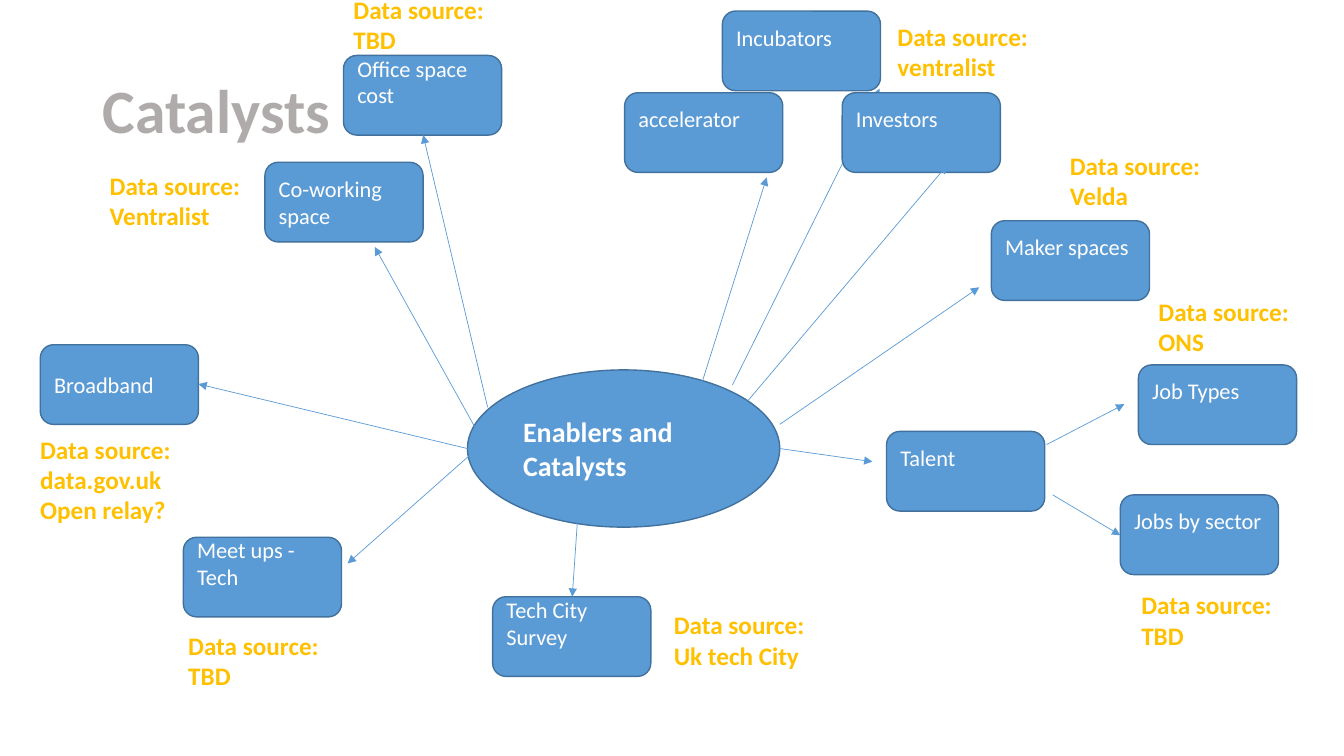
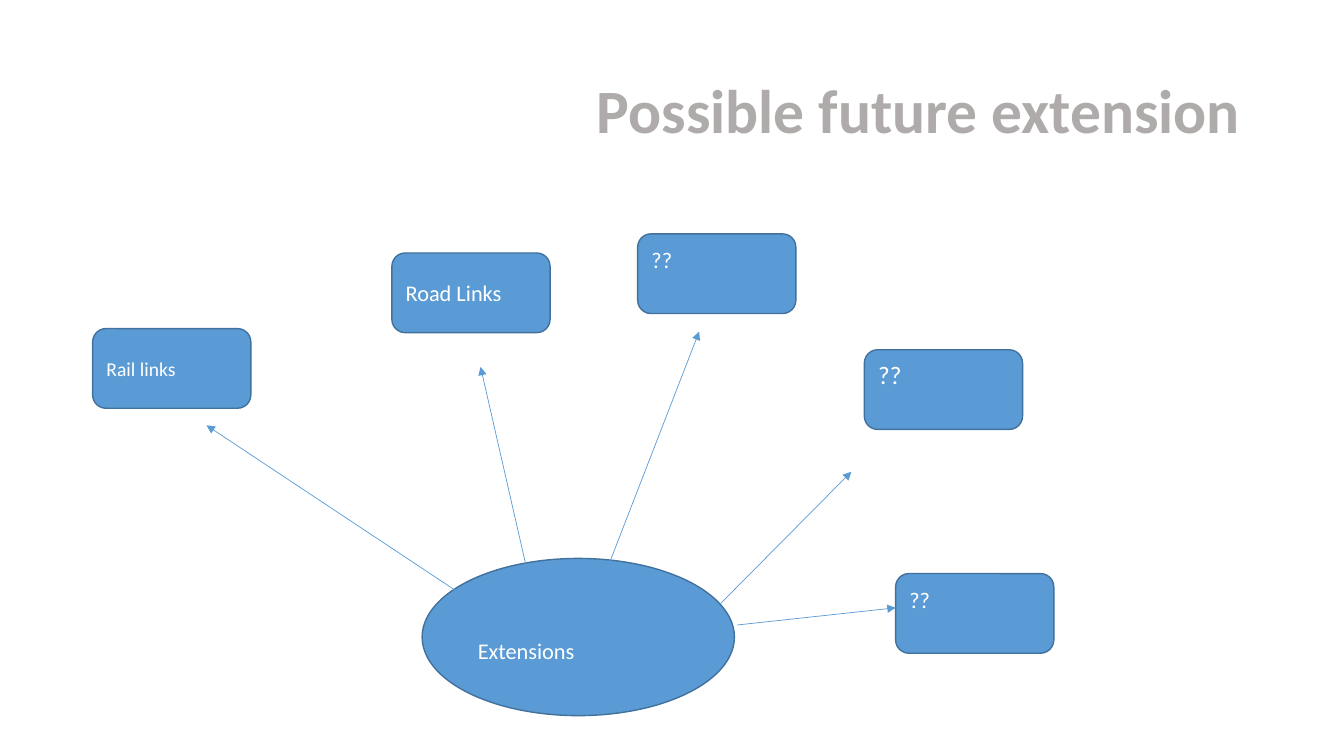
from dataclasses import dataclass

from lxml.etree import SubElement
from pptx import Presentation
from pptx.dml.color import RGBColor
from pptx.enum.shapes import MSO_CONNECTOR as Connector, MSO_SHAPE as Shape
from pptx.enum.text import MSO_ANCHOR as Anchor, MSO_AUTO_SIZE as AutoSize, PP_ALIGN as Align
from pptx.oxml.ns import qn
from pptx.util import Inches, Pt

# Grid: every position and size below counts square cells of a tenth of an inch
CELL = Inches(0.1)
COLUMNS, ROWS = 133.4, 75
PAGE_BOX = (0, 0, COLUMNS, ROWS)
TITLE_BOX = (9.2, 4, 115, 14.5)
HUB_SIZE = (31, 15.6)
NODE_SIZE = (15.7, 7.9)
NOTE_WIDTH, NOTE_LINE = 16.4, 3
PAD_X, PAD_Y = 1, 0.5
LINE_HEIGHT = 1.22

FONT = "Calibri"
COLORS = {
    "title": "AFABAB",
    "fill": "5B9BD5",
    "outline": "41719C",
    "text": "FFFFFF",
    "note": "FFC000",
}


@dataclass
class Branch:
    label: str
    at: tuple            # left and top of the node
    arrow: tuple = ()    # start x, start y, end x, end y
    note: str = ""
    note_at: tuple = ()
    size: int = 16
    raised: bool = True  # text sits half a line above the middle


def cells(*counts):
    return [round(count * CELL) for count in counts]


def color(name):
    return RGBColor.from_string(COLORS[name])


def write(frame, text, size, ink, bold=False, align=Align.LEFT):
    """Fill a text frame, one paragraph for each line of text."""
    frame.word_wrap = True
    frame.margin_left = frame.margin_right = cells(PAD_X)[0]
    frame.margin_top = frame.margin_bottom = cells(PAD_Y)[0]
    frame.text = text
    for para in frame.paragraphs:
        para.alignment = align
        font = para.font
        font.name, font.size, font.bold = FONT, Pt(size), bold
        font.color.rgb = color(ink)


def add_page(deck, title, align):
    """Title-only page with the shared title style."""
    page = deck.slides.add_slide(deck.slide_layouts[5])
    head = page.shapes.title
    head.left, head.top, head.width, head.height = cells(*TITLE_BOX)
    frame = head.text_frame
    write(frame, title, 44, "title", True, align)
    frame.auto_size = AutoSize.NONE
    frame.vertical_anchor = Anchor.MIDDLE
    frame.paragraphs[0].line_spacing = 0.9
    return page


def add_bubble(page, kind, box, text, size, bold=False):
    """Filled outline shape used for hubs and nodes."""
    bubble = page.shapes.add_shape(kind, *cells(*box))
    bubble.shadow.inherit = False
    bubble.fill.solid()
    bubble.fill.fore_color.rgb = color("fill")
    bubble.line.color.rgb = color("outline")
    bubble.line.width = Pt(1)
    write(bubble.text_frame, text, size, "text", bold)
    bubble.text_frame.vertical_anchor = Anchor.MIDDLE
    return bubble.text_frame


def add_arrow(page, ends):
    arrow = page.shapes.add_connector(Connector.STRAIGHT, *cells(*ends))
    arrow.line.color.rgb = color("fill")
    arrow.line.width = Pt(0.5)
    SubElement(arrow.line._get_or_add_ln(), qn("a:tailEnd"), type="triangle")
    SubElement(arrow._element.spPr, qn("a:effectLst"))


def add_note(page, left, top, text):
    lines = 2 + text.count("\n")
    box = (left, top, NOTE_WIDTH, lines * NOTE_LINE + 2 * PAD_Y)
    note = page.shapes.add_textbox(*cells(*box))
    write(note.text_frame, f"Data source: {text}", 18, "note", True)


def add_branch(page, box, branch):
    """One node with its arrow and its data source."""
    x, y = box[:2]
    left, top = branch.at
    frame = add_bubble(page, Shape.ROUNDED_RECTANGLE, (x + left, y + top, *NODE_SIZE),
                       branch.label, branch.size)
    if branch.raised:
        frame.margin_bottom += Pt(branch.size * LINE_HEIGHT)
    if branch.arrow:
        x1, y1, x2, y2 = branch.arrow
        add_arrow(page, (x + x1, y + y1, x + x2, y + y2))
    if branch.note:
        add_note(page, x + branch.note_at[0], y + branch.note_at[1], branch.note)


def add_map(page, box, hub, hub_at, branches, size=16, bold=False, lowered=False):
    """Hub ellipse with its branches, placed from the corner of the box."""
    place = (box[0] + hub_at[0], box[1] + hub_at[1], *HUB_SIZE)
    frame = add_bubble(page, Shape.OVAL, place, hub, size, bold)
    if lowered:
        frame.margin_top += Pt(size * LINE_HEIGHT)
    for branch in branches:
        add_branch(page, box, branch)


CATALYSTS = [
    Branch("Co-working space", (26.3, 16.1), (51.1, 49.5, 37.2, 24.5),
           "Ventralist", (9.9, 16.4), raised=False),
    Branch("Office space cost", (34.1, 5.5), (48.4, 40.4, 42, 13.4), "TBD", (34.1, -1.1)),
    Branch("accelerator", (62, 9.2), (66.1, 49.3, 76.1, 17.6)),
    Branch("Incubators", (71.7, 1.1), (72.7, 38.2, 87.3, 8.8), "ventralist", (88.1, 1.6)),
    Branch("Investors", (83.6, 9.2), (74.2, 39.8, 94, 16.4)),
    Branch("Broadband", (4, 34.2), (46.4, 44.5, 19.7, 38.1),
           "data.gov.uk\nOpen relay?", (3, 42.6), raised=False),
    Branch("Maker spaces", (98.4, 21.9), (77.4, 42.1, 97.2, 28.5), "Velda", (105.2, 14.4)),
    Branch("Talent", (88, 42.8), (77.4, 44.5, 86.6, 45.8)),
    Branch("Job Types", (113, 36.2), (103.9, 44.1, 111.6, 40.1), "ONS", (114, 28.9)),
    Branch("Jobs by sector", (111.2, 49.1), (104.5, 49.1, 111.2, 53.1), "TBD", (112.3, 58)),
    Branch("Meet ups - Tech", (18.2, 53.3), (50.2, 42, 34.5, 55.9), "TBD", (17.7, 62)),
    Branch("Tech City Survey", (48.9, 59.2), (57.3, 51.9, 56.8, 59.2),
           "Uk tech City", (65.9, 60)),
]

EXTENSIONS = [
    Branch("Rail links", (9.2, 32.6), (45.7, 58.9, 20.5, 42.2), size=14, raised=False),
    Branch("Road Links", (38.9, 25.1), (52.3, 56.5, 47.7, 36.4), raised=False),
    Branch("??", (63.3, 23.2), (59.7, 57.9, 69.4, 32.9)),
    Branch("??", (85.8, 34.7), (71.5, 59.9, 84.5, 46.8), size=18),
    Branch("??", (88.9, 56.9), (73.2, 62, 88.9, 60.3)),
]


def main():
    deck = Presentation()
    deck.slide_width, deck.slide_height = cells(COLUMNS, ROWS)

    # Current catalysts
    page = add_page(deck, "Catalysts", Align.LEFT)
    add_map(page, PAGE_BOX, "Enablers and Catalysts", (46.4, 36.7), CATALYSTS,
            size=20, bold=True)

    # Future extensions
    page = add_page(deck, "Possible future extension", Align.RIGHT)
    add_map(page, PAGE_BOX, "Extensions", (41.9, 55.4), EXTENSIONS, lowered=True)

    deck.save("out.pptx")


if __name__ == "__main__":
    main()
